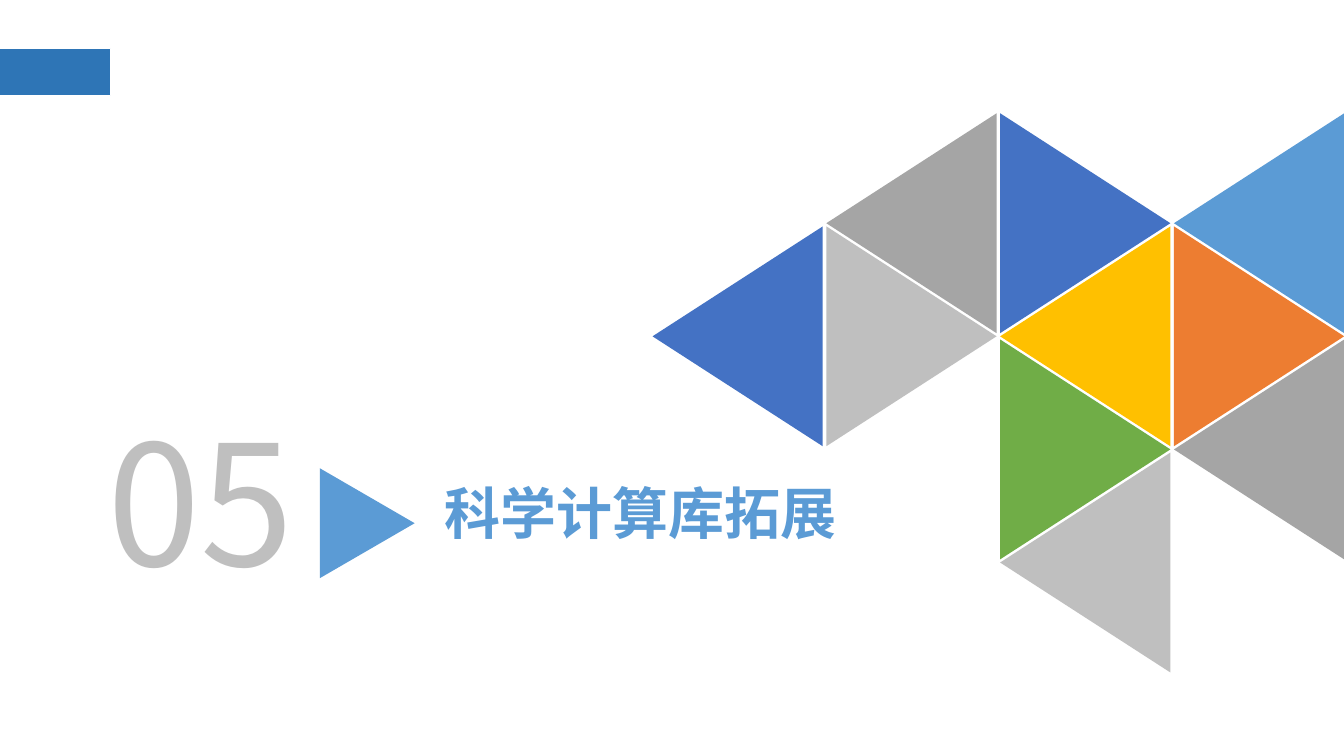
from lxml.etree import SubElement
from pptx import Presentation
from pptx.dml.color import RGBColor
from pptx.enum.shapes import MSO_SHAPE as Shape
from pptx.enum.text import MSO_ANCHOR as Anchor, PP_ALIGN as Align
from pptx.oxml.ns import qn
from pptx.util import Cm, Pt

TITLE = "科学计算库拓展"
NUMBER = "05"
FONT = "Noto Sans CJK SC"
COLORS = {
    "band": "2E75B6", "sky": "5B9BD5", "orange": "ED7D31", "gray": "A5A5A5",
    "blue": "4472C4", "gold": "FFC000", "green": "70AD47", "silver": "BFBFBF",
    "white": "FFFFFF",
}
MOSAIC = [
    (3, 0, "sky"), (3, 1, "orange"), (3, 2, "gray"),
    (2, 0, "blue"), (2, 1, "gold"), (2, 2, "green"),
    (1, 0, "gray"), (2, 3, "silver"), (1, 1, "silver"), (0, 1, "blue"),
]
MOSAIC_LEFT, MOSAIC_TOP = 15.82, 3.48
COLUMN_STEP, ROW_STEP = 4.38, 2.85
TILE_WIDTH, TILE_HEIGHT = 5.54, 4.29
POINT_LEFT, POINT_RIGHT = 270, 90


def color(name):
    return RGBColor.from_string(COLORS[name])


def add_figure(shapes, kind, frame, fill, rotation=0):
    figure = shapes.add_shape(kind, *map(Cm, frame))
    figure.shadow.inherit = False
    figure.fill.solid()
    figure.fill.fore_color.rgb = color(fill)
    figure.line.fill.background()
    figure.rotation = rotation
    return figure


def write(box, frame, text, size, fill, bold, align):
    box.left, box.top, box.width, box.height = map(Cm, frame)
    box.text_frame.word_wrap = True
    box.text_frame.vertical_anchor = Anchor.TOP
    para = box.text_frame.paragraphs[0]
    para.alignment = align
    para.line_spacing = 0.9
    span = para.add_run()
    span.text = text
    span.font.size = Pt(size)
    span.font.bold = bold
    span.font.color.rgb = color(fill)
    span.font.name = FONT
    SubElement(span.font._element, qn("a:ea")).set("typeface", FONT)


def main():
    deck = Presentation()
    deck.slide_width, deck.slide_height = Cm(33.87), Cm(19.05)
    page = deck.slides.add_slide(deck.slide_layouts[5])
    shapes = page.shapes

    band = add_figure(shapes, Shape.RECTANGLE, (0, 1.22, 2.79, 1.19), "band")
    band.line.color.rgb = color("white")
    band.line.width = Pt(0.75)

    mosaic = shapes.add_group_shape()
    for column, row, fill in MOSAIC:
        frame = (MOSAIC_LEFT + column * COLUMN_STEP, MOSAIC_TOP + row * ROW_STEP,
                 TILE_WIDTH, TILE_HEIGHT)
        rotation = POINT_LEFT if (column + row) % 2 else POINT_RIGHT
        add_figure(mosaic.shapes, Shape.ISOSCELES_TRIANGLE, frame, fill, rotation)

    write(shapes.title, (10.95, 12.12, 12.01, 1.96), TITLE, 40, "sky", True, Align.LEFT)
    number_box = shapes.add_textbox(0, 0, 0, 0)
    write(number_box, (1.24, 10.5, 7.62, 5.38), NUMBER, 120, "silver", False, Align.CENTER)
    add_figure(shapes, Shape.ISOSCELES_TRIANGLE, (7.87, 11.99, 2.77, 2.39), "sky", POINT_RIGHT)

    deck.save("out.pptx")


if __name__ == "__main__":
    main()
